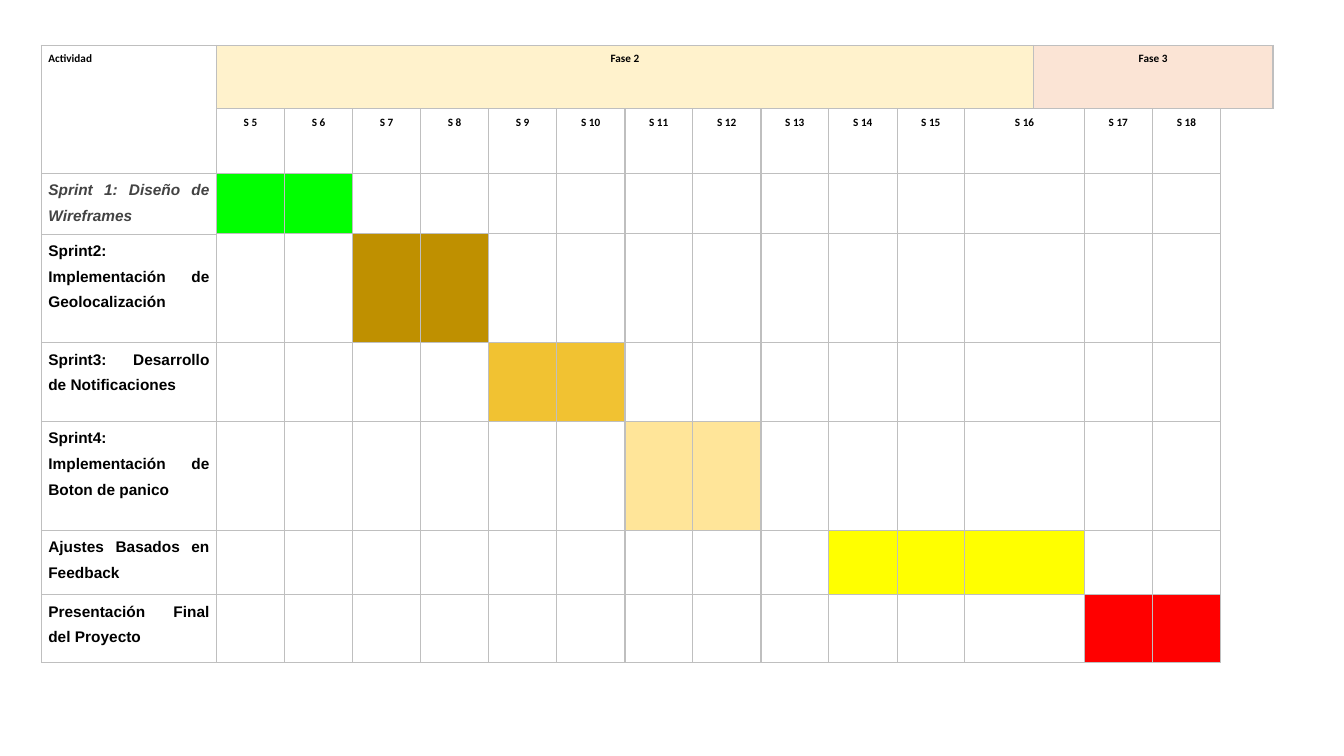
from dataclasses import dataclass

from lxml.etree import SubElement
from pptx import Presentation
from pptx.dml.color import RGBColor
from pptx.enum.text import PP_ALIGN
from pptx.oxml.ns import qn
from pptx.table import Table, _Cell
from pptx.util import Emu, Pt

PX = 9144  # EMU per px, 100 px to the inch

BLACK = RGBColor(0x00, 0x00, 0x00)
DARK_GRAY = RGBColor(0x43, 0x43, 0x43)
GRID = RGBColor(0xBF, 0xBF, 0xBF)
CREAM = RGBColor(0xFF, 0xF2, 0xCC)
PEACH = RGBColor(0xFB, 0xE4, 0xD5)
GREEN = RGBColor(0x00, 0xFF, 0x00)
OCHRE = RGBColor(0xBF, 0x90, 0x00)
AMBER = RGBColor(0xF1, 0xC2, 0x32)
SAND = RGBColor(0xFF, 0xE5, 0x99)
YELLOW = RGBColor(0xFF, 0xFF, 0x00)
RED = RGBColor(0xFF, 0x00, 0x00)

THIN, NORMAL = Pt(0.5), Pt(1)


@dataclass(frozen=True)
class Phase:
    name: str
    first_column: int
    last_column: int
    color: RGBColor


@dataclass(frozen=True)
class Activity:
    name: str
    height: int
    first_week: int
    last_week: int
    color: RGBColor
    text_color: RGBColor = BLACK
    italic: bool = False


PHASES = [Phase("Fase 2", 1, 12, CREAM), Phase("Fase 3", 13, 16, PEACH)]
WEEKS = range(5, 19)
WIDE_WEEK = 16  # takes two columns, across the start of Fase 3
ACTIVITIES = [
    Activity("Sprint 1: Diseño de Wireframes", 60, 5, 6, GREEN, DARK_GRAY, True),
    Activity("Sprint2: Implementación de Geolocalización", 108, 7, 8, OCHRE),
    Activity("Sprint3: Desarrollo de Notificaciones", 78, 9, 10, AMBER),
    Activity("Sprint4: Implementación de Boton de panico", 108, 11, 12, SAND),
    Activity("Ajustes Basados en Feedback", 64, 14, 16, YELLOW),
    Activity("Presentación Final del Proyecto", 67, 17, 18, RED),
]
HEADER_HEIGHTS = [63, 64]
COLUMN_WIDTHS = [174] + [67, 68] * 6 + [51, 67, 68, 52]
LEFT, TOP = 41, 45


def px(length: int) -> Emu:
    return Emu(length * PX)


def week_column(week: int) -> int:
    return week - 4 if week <= WIDE_WEEK else week - 3


def set_borders(cell: _Cell, row: int, column: int) -> None:
    """Grid lines: thin around activities, only the left one past the last week."""
    properties = cell._tc.get_or_add_tcPr()
    activity_cell = column == 0 and row > 1
    outside = column == len(COLUMN_WIDTHS) - 1 and row > 0
    for side in "LRTB":
        thin = (
            activity_cell
            or (column == 1 and row > 1 and side == "L")
            or (column == 0 and row == 1 and side == "B")
        )
        line = SubElement(properties, qn(f"a:ln{side}"))
        line.set("w", str(THIN if thin else NORMAL))
        if outside and side != "L" and (row, side) != (1, "T"):
            SubElement(line, qn("a:noFill"))
        else:
            fill = SubElement(line, qn("a:solidFill"))
            SubElement(fill, qn("a:srgbClr")).set("val", str(GRID))


def fill_cell(cell: _Cell, color: RGBColor) -> None:
    cell.fill.solid()
    cell.fill.fore_color.rgb = color


def write(
    cell: _Cell,
    text: str,
    align: PP_ALIGN,
    font: str = "Calibri",
    size: int = 8,
    color: RGBColor = BLACK,
    italic: bool = False,
    space_after: int = 0,
) -> None:
    para = cell.text_frame.paragraphs[0]
    para.text = text
    para.alignment = align
    para.line_spacing = 1.5
    para.space_after = Pt(space_after)
    para.font.name = font
    para.font.size = Pt(size)
    para.font.bold = True
    para.font.italic = italic
    para.font.color.rgb = color


def prepare_grid(table: Table, heights: list[int]) -> None:
    table.first_row = False
    table.horz_banding = False
    for column, width in zip(table.columns, COLUMN_WIDTHS):
        column.width = px(width)
    for row, height in zip(table.rows, heights):
        row.height = px(height)
    for row in range(len(heights)):
        for column in range(len(COLUMN_WIDTHS)):
            cell = table.cell(row, column)
            cell.margin_left = cell.margin_right = px(7)
            cell.margin_top = cell.margin_bottom = 0
            set_borders(cell, row, column)
            cell.fill.background()


def add_headers(table: Table) -> None:
    corner = table.cell(0, 0)
    corner.merge(table.cell(1, 0))
    write(corner, "Actividad", PP_ALIGN.JUSTIFY)
    for phase in PHASES:
        cell = table.cell(0, phase.first_column)
        cell.merge(table.cell(0, phase.last_column))
        fill_cell(cell, phase.color)
        write(cell, phase.name, PP_ALIGN.CENTER)
    for week in WEEKS:
        write(table.cell(1, week_column(week)), f"S {week}", PP_ALIGN.CENTER)


def add_activity(table: Table, row: int, activity: Activity) -> None:
    write(table.cell(row, 0), activity.name, PP_ALIGN.JUSTIFY, "Arial", 11,
          activity.text_color, activity.italic, space_after=8)
    for week in range(activity.first_week, activity.last_week + 1):
        fill_cell(table.cell(row, week_column(week)), activity.color)


def main() -> None:
    deck = Presentation()
    deck.slide_width, deck.slide_height = px(1333), px(750)
    page = deck.slides.add_slide(deck.slide_layouts[6])

    # Schedule grid
    heights = HEADER_HEIGHTS + [activity.height for activity in ACTIVITIES]
    table = page.shapes.add_table(
        len(heights), len(COLUMN_WIDTHS),
        px(LEFT), px(TOP), px(sum(COLUMN_WIDTHS)), px(sum(heights)),
    ).table
    prepare_grid(table, heights)

    # Phases, weeks and activities
    wide = week_column(WIDE_WEEK)
    for row in range(1, len(heights)):
        table.cell(row, wide).merge(table.cell(row, wide + 1))
    add_headers(table)
    for row, activity in enumerate(ACTIVITIES, start=len(HEADER_HEIGHTS)):
        add_activity(table, row, activity)

    deck.save("out.pptx")


if __name__ == "__main__":
    main()
